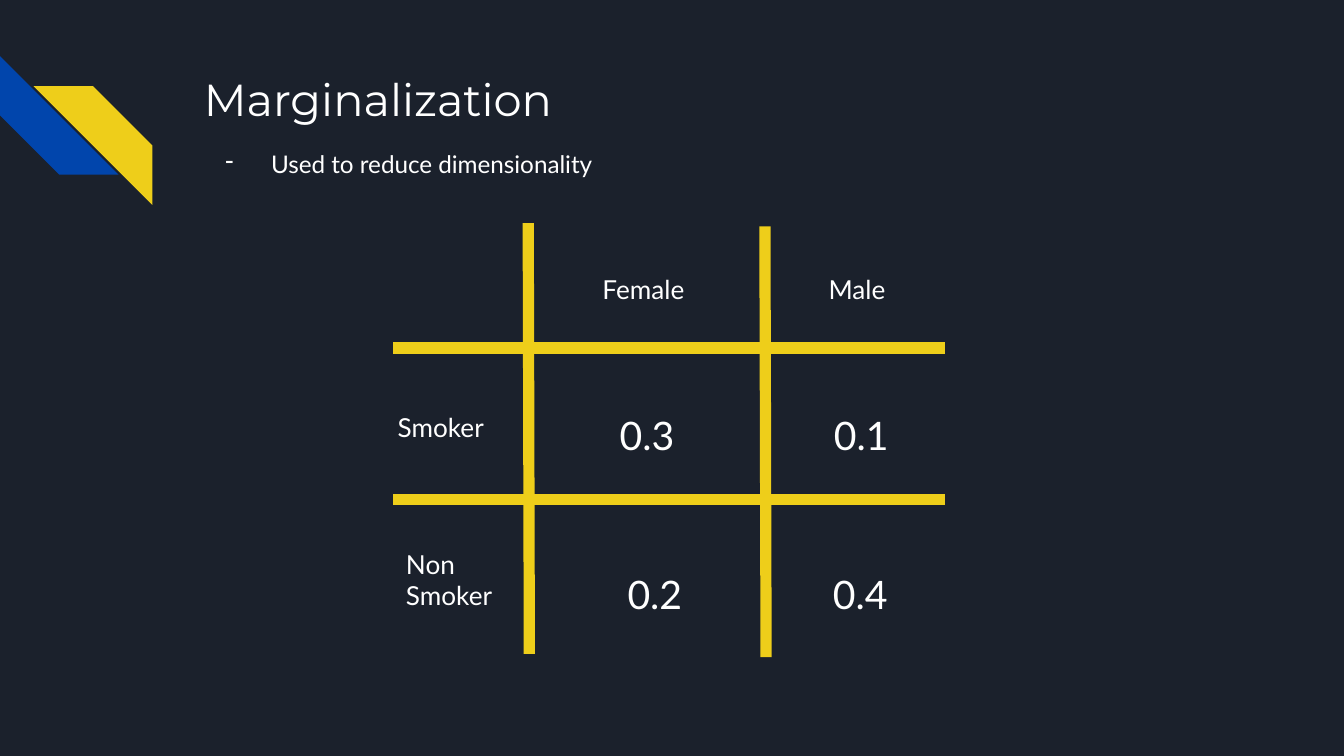
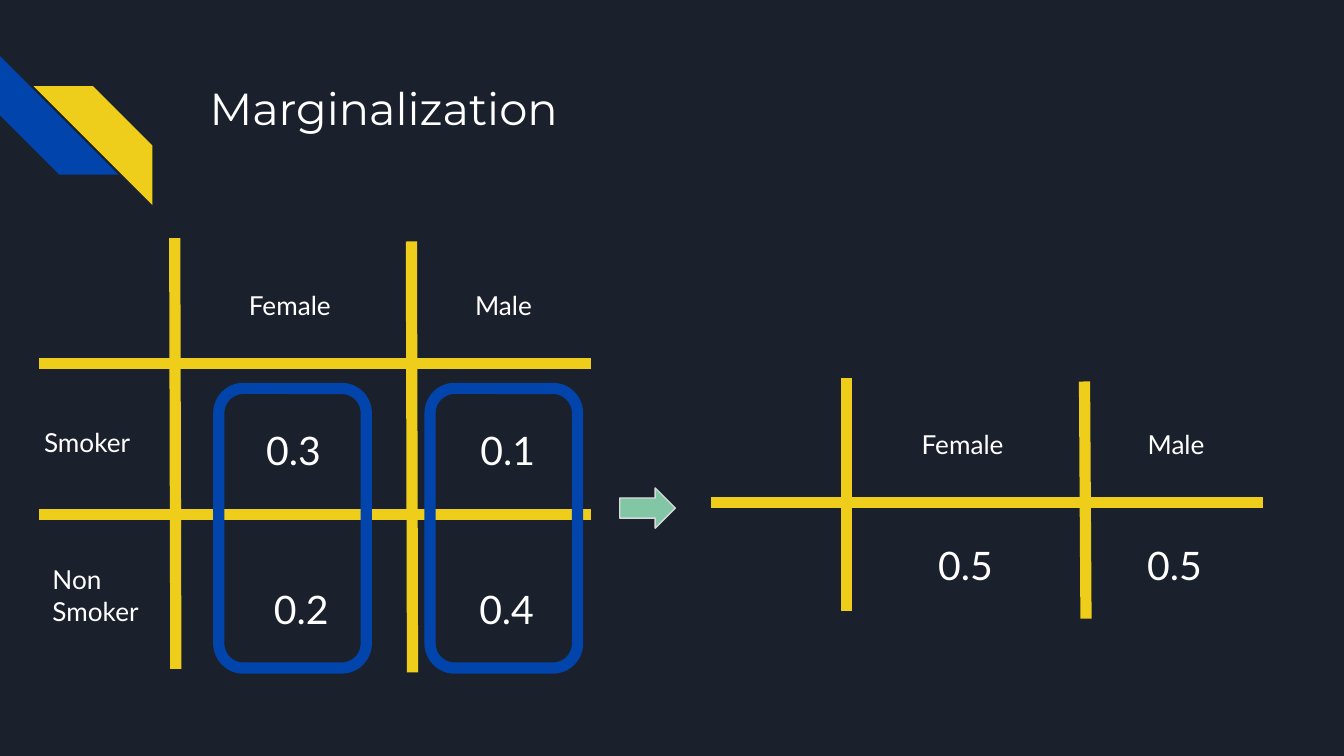
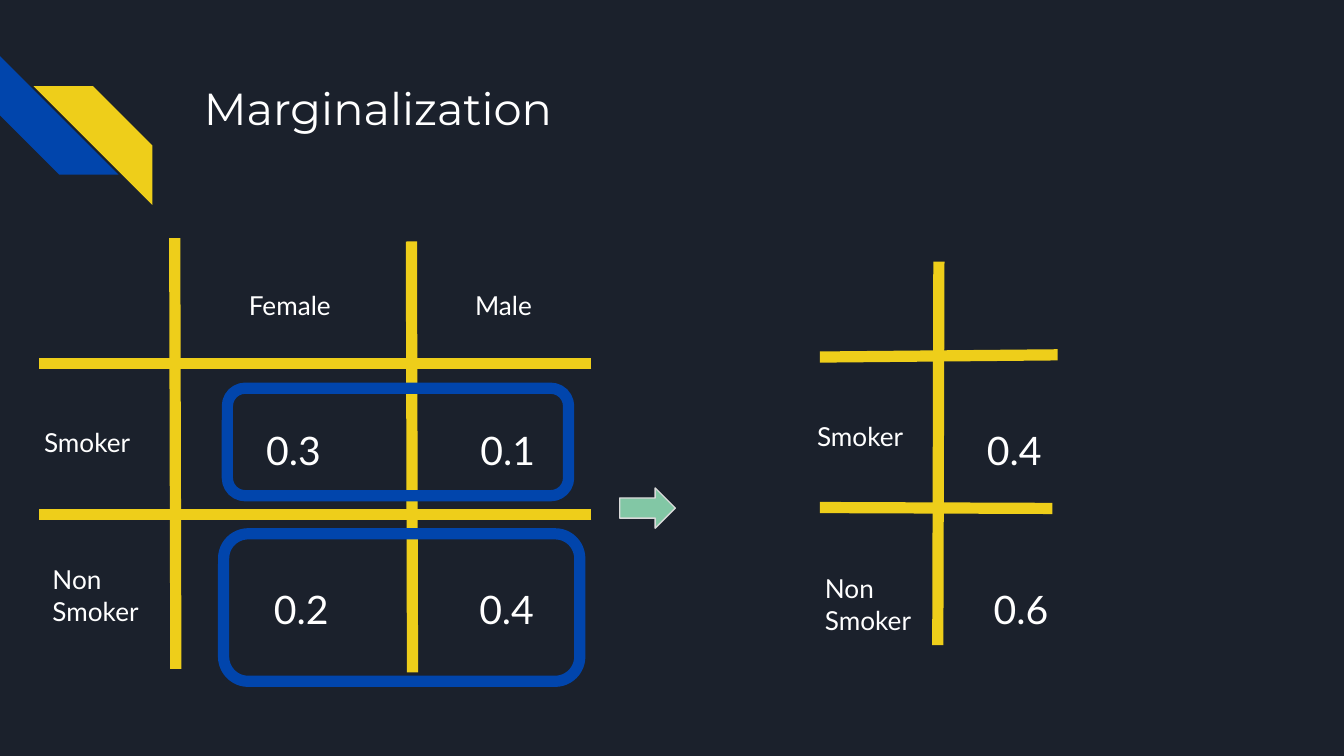
"""Build three slides that show marginalization of a joint probability table."""
from lxml.etree import SubElement
from pptx import Presentation
from pptx.dml.color import RGBColor
from pptx.enum.shapes import MSO_CONNECTOR as CONN, MSO_SHAPE as SHAPE
from pptx.enum.text import MSO_ANCHOR as ANCHOR, PP_ALIGN as ALIGN
from pptx.oxml.ns import qn
from pptx.util import Pt

NAVY, BLUE, YELLOW = "1B212C", "0145AC", "EECE1A"
GREEN, GREY, WHITE = "82C7A5", "D9D9D9", "FFFFFF"
HEAD, BODY = "Montserrat", "Lato"
RULE = 6
CELL = (62, 27.4)

JOINT = {
    "rules": [(93.6, 127.6, 94.2, 358.4), (220.4, 129.4, 221, 360.2),
              (316.8, 194.6, 20.9, 194.6), (316.8, 275.7, 20.9, 275.7)],
    "labels": [("Female", 126.2, 147.6), ("Male", 247.4, 147.6),
               ("Smoker", 16.5, 221.2), ("Non Smoker", 21, 294.7)],
    "values": [("0.3", 126.2, 221.2), ("0.2", 130.4, 306.6),
               ("0.1", 241, 221.2), ("0.4", 240.4, 306.6)],
}
BY_SEX = {
    "rules": [(453.6, 202.3, 453.6, 327.6), (581, 204.4, 581.8, 331.4),
              (676.8, 269.2, 380.9, 269.2)],
    "labels": [("Female", 486.6, 222.5), ("Male", 607.7, 222.5)],
    "values": [("0.5", 486.2, 283), ("0.5", 598.2, 283)],
}
BY_HABIT = {
    "rules": [(439.2, 271.9, 563.8, 272.4), (439.2, 191.3, 566.6, 190.1),
              (503, 140.2, 502.4, 345.6)],
    "labels": [("Smoker", 430.6, 218.2), ("Non Smoker", 434.8, 299.5)],
    "values": [("0.4", 512.4, 221.2), ("0.6", 516, 306.6)],
}
SLIDES = [
    {"title": (102.2, 31), "bullet": "Used to reduce dimensionality",
     "tables": [(JOINT, 189.4, -8.1)], "rings": []},
    {"title": (105.2, 36), "tables": [(JOINT, 0, 0), (BY_SEX, 0, 0)],
     "rings": [(117.2, 208.1, 79, 149.8), (230.4, 208.1, 79, 149.8)]},
    {"title": (102.2, 36), "tables": [(JOINT, 0, 0), (BY_HABIT, 0, 0)],
     "rings": [(121.8, 208, 182.8, 57.6), (119.8, 286, 190.8, 79)]},
]


def color(code):
    return RGBColor.from_string(code)


def add_text(s, text, x, y, w, h, size, font=BODY, align=ALIGN.LEFT):
    tf = s.shapes.add_textbox(Pt(x), Pt(y), Pt(w), Pt(h)).text_frame
    tf.word_wrap = True
    tf.vertical_anchor = ANCHOR.TOP
    tf.margin_left = tf.margin_right = tf.margin_top = tf.margin_bottom = Pt(7.2)
    p = tf.paragraphs[0]
    p.alignment = align
    r = p.add_run()
    r.text = text
    r.font.size, r.font.name = Pt(size), font
    r.font.color.rgb = color(WHITE)
    return p


def add_bullet(s, text):
    p = add_text(s, text, 102.2, 70.6, 554.4, 49, 13)
    p.line_spacing = 1.15
    pPr = p._p.get_or_add_pPr()
    pPr.set("marL", str(Pt(36)))
    pPr.set("indent", str(Pt(-24.5)))
    SubElement(SubElement(pPr, qn("a:buClr")), qn("a:srgbClr")).set("val", WHITE)
    SubElement(pPr, qn("a:buChar")).set("char", "-")


def add_shape(s, kind, x, y, w, h, fill=None, line=None, width=RULE, turn=0):
    sp = s.shapes.add_shape(kind, Pt(x), Pt(y), Pt(w), Pt(h))
    sp.shadow.inherit = False
    sp.rotation = turn
    if fill:
        sp.fill.solid()
        sp.fill.fore_color.rgb = color(fill)
    else:
        sp.fill.background()
    if line:
        sp.line.color.rgb = color(line)
        sp.line.width = Pt(width)
    else:
        sp.line.fill.background()


def add_rule(s, *ends):
    cxn = s.shapes.add_connector(CONN.STRAIGHT, *map(Pt, ends))
    cxn.line.color.rgb = color(YELLOW)
    cxn.line.width = Pt(RULE)
    SubElement(cxn._element.spPr, qn("a:effectLst"))


def add_grid(s, table, dx, dy):
    for x1, y1, x2, y2 in table["rules"]:
        add_rule(s, x1 + dx, y1 + dy, x2 + dx, y2 + dy)
    for text, x, y in table["labels"]:
        add_text(s, text, x + dx, y + dy, *CELL, 14)
    for text, x, y in table["values"]:
        add_text(s, text, x + dx, y + dy, *CELL, 21, align=ALIGN.CENTER)


def add_slide(prs, content):
    s = prs.slides.add_slide(prs.slide_layouts[6])
    s.background.fill.solid()
    s.background.fill.fore_color.rgb = color(NAVY)
    add_shape(s, SHAPE.DIAGONAL_STRIPE, 0, 30, 63.6, 63.6, BLUE, turn=270)
    add_shape(s, SHAPE.DIAGONAL_STRIPE, 18, 46.2, 63.6, 63.6, YELLOW, turn=90)
    add_text(s, "Marginalization", *content["title"], 554.4, 72, 24, HEAD)
    if "bullet" in content:
        add_bullet(s, content["bullet"])
    for table, dx, dy in content["tables"]:
        add_grid(s, table, dx, dy)
    for box in content["rings"]:
        add_shape(s, SHAPE.ROUNDED_RECTANGLE, *box, line=BLUE)
    if content["rings"]:
        add_shape(s, SHAPE.RIGHT_ARROW, 332, 261.4, 29.8, 21.6, GREEN, GREY, 0.75)


def main():
    prs = Presentation()
    prs.slide_width, prs.slide_height = Pt(720), Pt(405)
    for content in SLIDES:
        add_slide(prs, content)
    prs.save("out.pptx")


if __name__ == "__main__":
    main()
